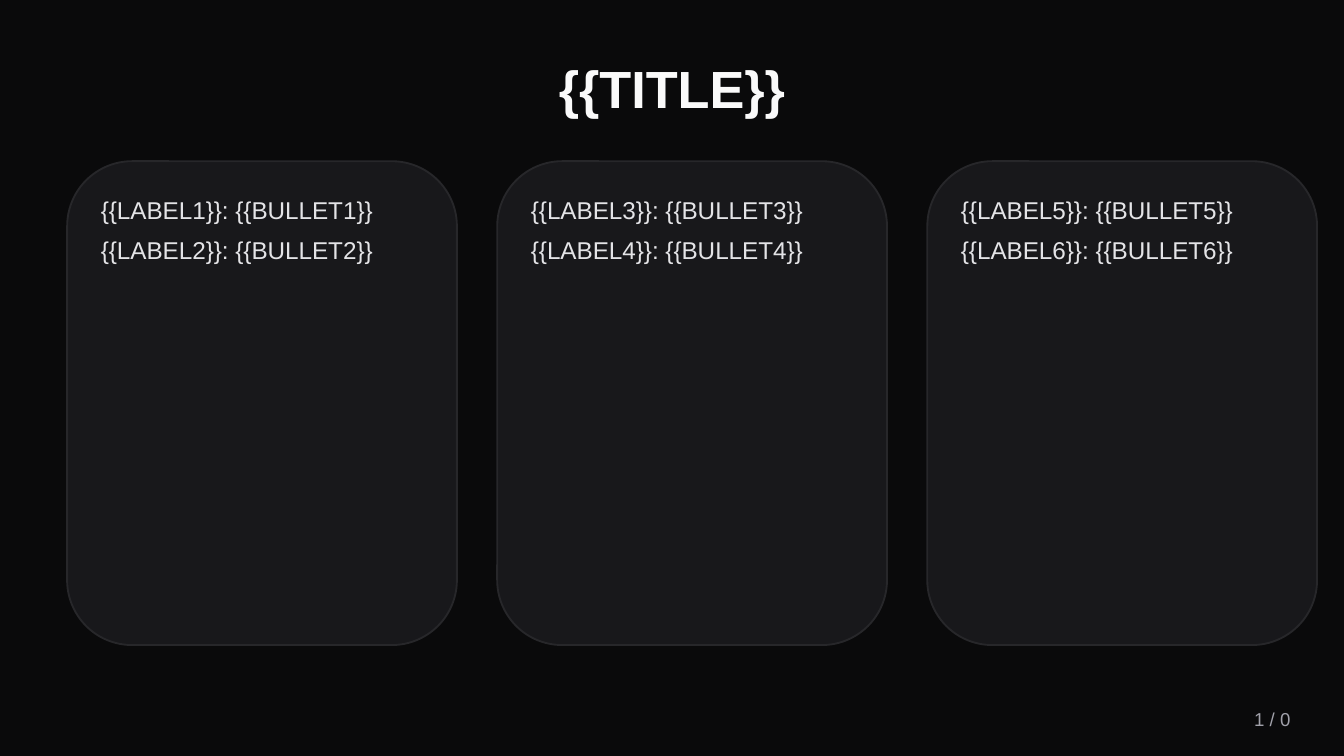
from dataclasses import dataclass

import pptx
import pptx.dml.color
import pptx.enum.shapes
import pptx.enum.text
import pptx.oxml.ns
import pptx.util
from lxml import etree
from pptx.util import Inches

FONT = "Arial"
COLORS = {
    "background": "0A0A0B",
    "card": "1A1A1D",
    "border": "27272A",
    "title": "FAFAFA",
    "body": "E4E4E7",
    "muted": "A1A1AA",
}
CARD_LEFT, CARD_TOP, CARD_WIDTH, CARD_HEIGHT = 0.5, 1.2, 2.9, 3.6
CARD_GAP = 0.3
PAD_X, PAD_Y = 0.15, 0.2
CARD_OPACITY = 90

Align = pptx.enum.text.PP_ALIGN
Anchor = pptx.enum.text.MSO_ANCHOR


@dataclass
class Card:
    placeholder: int
    lines: list[str]


CARDS = [
    Card(n + 1, [f"{{{{LABEL{i}}}}}: {{{{BULLET{i}}}}}" for i in (2 * n + 1, 2 * n + 2)])
    for n in range(3)
]


def rgb(name: str) -> pptx.dml.color.RGBColor:
    return pptx.dml.color.RGBColor.from_string(COLORS[name])


def place(sp, left: float, top: float, width: float, height: float) -> None:
    sp.left, sp.top = Inches(left), Inches(top)
    sp.width, sp.height = Inches(width), Inches(height)


def write(sp, lines: list[str], size: float, color: str, align: Align,
          anchor: Anchor, bold: bool = False, after: float = 0) -> None:
    """Fill a shape with unbulleted paragraphs of one style."""
    tf = sp.text_frame
    tf.word_wrap = True
    tf.auto_size = pptx.enum.text.MSO_AUTO_SIZE.NONE
    tf.vertical_anchor = anchor
    for i, line in enumerate(lines):
        p = tf.add_paragraph() if i else tf.paragraphs[0]
        pPr = p._p.get_or_add_pPr()
        pPr.set("marL", "0")
        pPr.set("indent", "0")
        etree.SubElement(pPr, pptx.oxml.ns.qn("a:buNone"))
        p.alignment = align
        p.space_before = pptx.util.Pt(0)
        p.space_after = pptx.util.Pt(after)
        r = p.add_run()
        r.text = line
        r.font.name = FONT
        r.font.size = pptx.util.Pt(size)
        r.font.bold = bold
        r.font.color.rgb = rgb(color)


def add_card(s, card: Card, left: float) -> None:
    panel = s.shapes.add_shape(
        pptx.enum.shapes.MSO_SHAPE.ROUNDED_RECTANGLE,
        Inches(left), Inches(CARD_TOP), Inches(CARD_WIDTH), Inches(CARD_HEIGHT))
    panel.shadow.inherit = False
    panel.fill.solid()
    panel.fill.fore_color.rgb = rgb("card")
    fill = panel._element.spPr.find(pptx.oxml.ns.qn("a:solidFill"))
    etree.SubElement(fill[0], pptx.oxml.ns.qn("a:alpha"), val=str(CARD_OPACITY * 1000))
    panel.line.color.rgb = rgb("border")
    panel.line.width = pptx.util.Pt(1)

    body = s.placeholders[card.placeholder]
    panel._element.addnext(body._element)  # the list sits in front of its panel
    place(body, left + PAD_X, CARD_TOP + PAD_Y,
          CARD_WIDTH - 2 * PAD_X, CARD_HEIGHT - 2 * PAD_Y)
    write(body, card.lines, 13, "body", Align.LEFT, Anchor.TOP, after=6)


def main() -> None:
    prs = pptx.Presentation()
    prs.slide_width = Inches(10)
    prs.slide_height = prs.slide_width * 9 // 16
    s = prs.slides.add_slide(prs.slide_layouts.get_by_name("Comparison"))
    s.background.fill.solid()
    s.background.fill.fore_color.rgb = rgb("background")

    title = s.shapes.title
    place(title, 0.5, 0.3, 9, 0.7)
    write(title, ["{{TITLE}}"], 28, "title", Align.CENTER, Anchor.MIDDLE, bold=True)

    for i, card in enumerate(CARDS):
        add_card(s, card, CARD_LEFT + i * (CARD_WIDTH + CARD_GAP))

    unused = s.placeholders[len(CARDS) + 1]._element
    unused.getparent().remove(unused)

    page = s.shapes.add_textbox(Inches(8.5), Inches(5.2), Inches(1.2), Inches(0.3))
    write(page, ["1 / 0"], 10, "muted", Align.RIGHT, Anchor.MIDDLE)

    prs.save("out.pptx")


if __name__ == "__main__":
    main()
